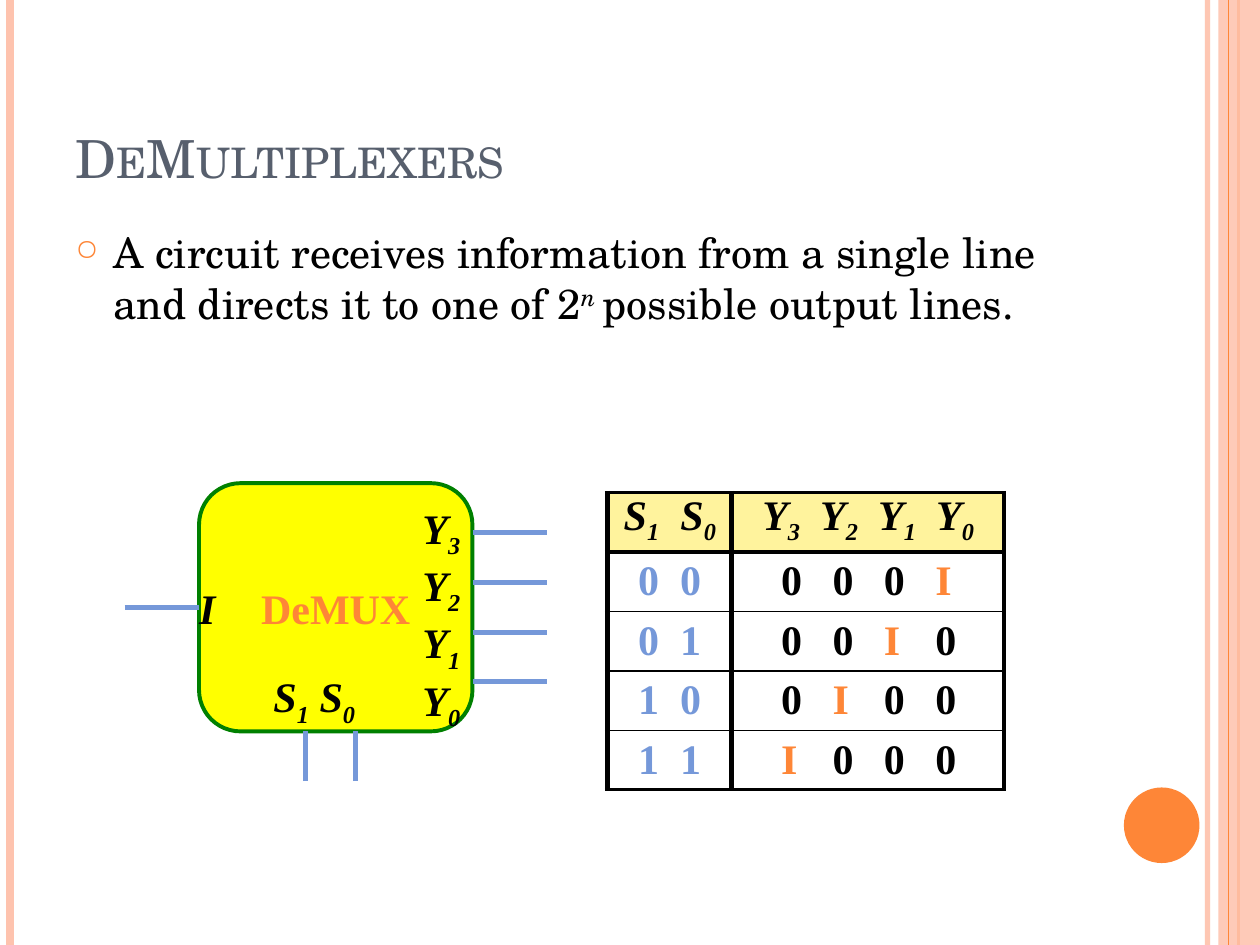
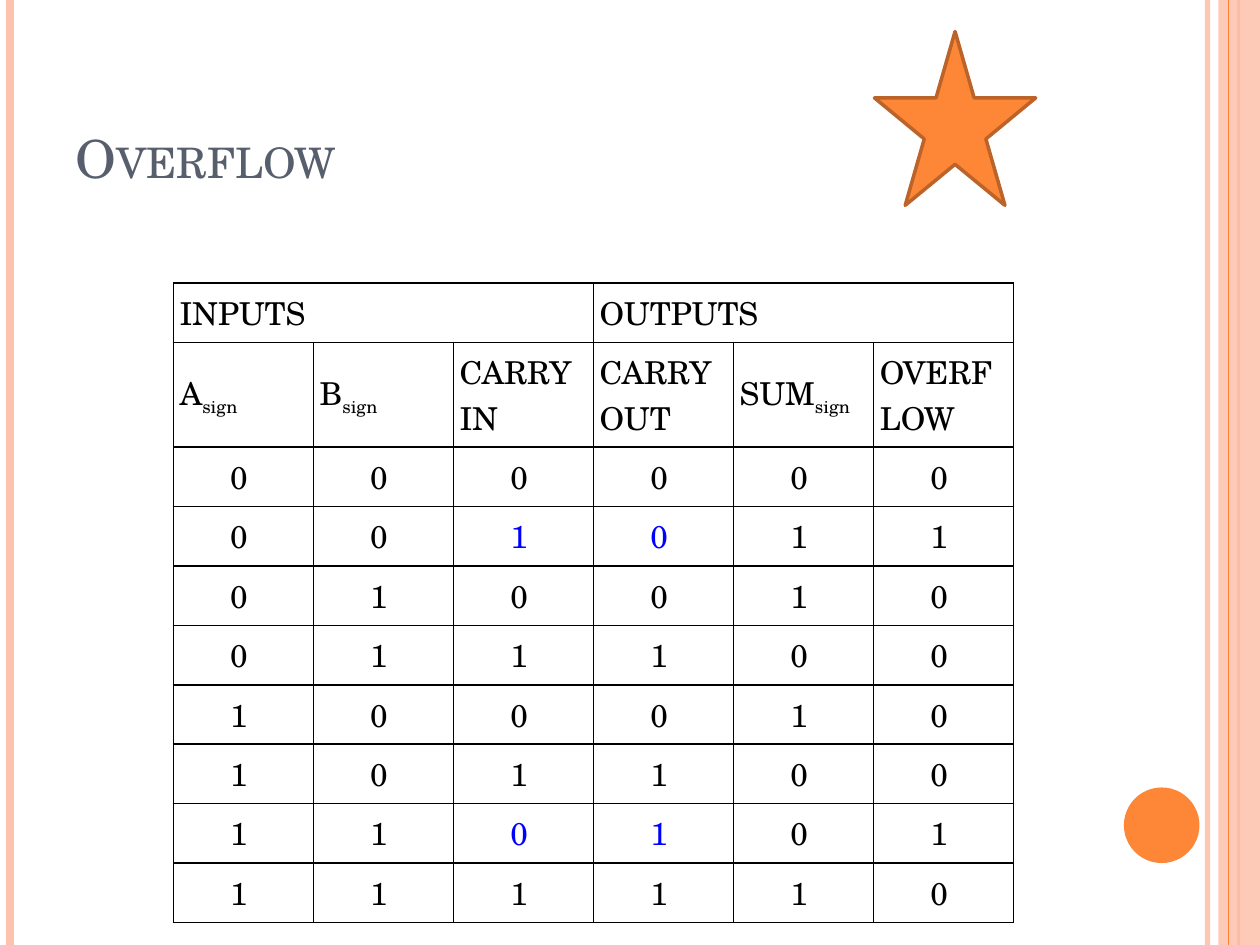
from collections import namedtuple
from itertools import product

from lxml.etree import SubElement
from pptx import Presentation
from pptx.dml.color import RGBColor
from pptx.enum.shapes import MSO_CONNECTOR as Line, MSO_SHAPE as Shape
from pptx.enum.text import MSO_ANCHOR as Anchor, PP_ALIGN as Align
from pptx.oxml import parse_xml
from pptx.oxml.ns import nsdecls, qn
from pptx.util import Inches, Pt

COLOURS = {
    "accent": "FE8637", "band": "FEC3AE", "title": "575F6D", "text": "000000",
    "wire": "7598D9", "header": "FFF39D", "mux": "FFFF00", "mux edge": "008000",
    "star edge": "BC6329", "carry": "0000FF",
}
SCHOLA, TIMES = "TeX Gyre Schola", "Times New Roman"

WIDTH, HEIGHT = Inches(10), Inches(7.5)
COLUMNS, ROWS = 100, 75
Box = namedtuple("Box", "left top width height")  # in columns and rows

TITLE_BOX = Box(5, 3, 84.2, 12.5)
BODY_BOX = Box(5, 17.5, 84.2, 53.3)
MUX_BOX = Box(15.8, 38.35, 21.7, 19.7)
TRUTH_BOX = Box(48.2, 39.1, 31.5, 23.6)
OVERFLOW_BOX = Box(13.75, 22.45, 66.7, 50.8)
STAR_BOX = Box(69.4, 2.5, 12.8, 13.8)


def across(columns):
    return round(columns * WIDTH / COLUMNS)


def down(rows):
    return round(rows * HEIGHT / ROWS)


def measure(box):
    return across(box.left), down(box.top), across(box.width), down(box.height)


def rgb(name):
    return RGBColor.from_string(COLOURS[name])


def set_alpha(color_parent, percent):
    """Make the solid fill found below an element partly transparent."""
    color = next(color_parent.iter(qn("a:srgbClr")))
    SubElement(color, qn("a:alpha")).set("val", str(percent * 1000))


def write(target, lines, font=SCHOLA, size=24, color="text", bold=False, italic=False,
          align=Align.LEFT, anchor=Anchor.TOP, margins=None, wrap=None, caps=None,
          tab_step=None, bullet=None):
    """Fill a text frame or table cell; a line is a list of strings or (string, format)."""
    frame = getattr(target, "text_frame", target)
    target.vertical_anchor = anchor
    if margins:
        (target.margin_left, target.margin_top,
         target.margin_right, target.margin_bottom) = map(across, margins)
    if wrap is not None:
        frame.word_wrap = wrap
    for index, line in enumerate(lines):
        para = frame.add_paragraph() if index else frame.paragraphs[0]
        para.alignment = align
        if bullet:
            add_bullet(para, bullet)
        if tab_step:
            add_tabs(para, tab_step, 3)
        for piece in line:
            words, style = (piece, {}) if isinstance(piece, str) else piece
            span = para.add_run()
            span.text = words
            span.font.name = font
            span.font.size = Pt(size)
            span.font.bold = bold
            span.font.italic = style.get("italic", italic)
            span.font.color.rgb = rgb(style.get("color", color))
            props = span._r.get_or_add_rPr()
            if "base" in style:
                props.set("baseline", str(style["base"] * 1000))
            if caps:
                props.set("cap", caps)


def add_bullet(para, sign):
    props = para._p.get_or_add_pPr()
    props.set("marL", str(across(3)))
    props.set("indent", str(-across(3)))
    color = SubElement(props, qn("a:buClr"))
    SubElement(color, qn("a:srgbClr")).set("val", COLOURS["accent"])
    SubElement(props, qn("a:buSzPct")).set("val", "70000")
    SubElement(props, qn("a:buChar")).set("char", sign)


def add_tabs(para, step, count):
    stops = SubElement(para._p.get_or_add_pPr(), qn("a:tabLst"))
    for number in range(1, count + 1):
        stop = SubElement(stops, qn("a:tab"))
        stop.set("pos", str(across(step * number)))
        stop.set("algn", "l")


def sub(letter, index):
    """Runs for a letter with a subscript."""
    return [letter, (index, {"base": -25})]


def add_text(page, box, lines, **style):
    write(page.shapes.add_textbox(*measure(box)).text_frame, lines, **style)


def add_block(page, kind, box, fill, edge=None, weight=1):
    shape = page.shapes.add_shape(kind, *measure(box))
    shape.shadow.inherit = False
    shape.fill.solid()
    shape.fill.fore_color.rgb = rgb(fill)
    if edge:
        shape.line.color.rgb = rgb(edge)
        shape.line.width = Pt(weight)
    else:
        shape.line.fill.background()
    return shape


def add_line(page, start, end, color, weight):
    line = page.shapes.add_connector(Line.STRAIGHT, across(start[0]), down(start[1]),
                                     across(end[0]), down(end[1]))
    line.line.color.rgb = rgb(color)
    line.line.width = Pt(weight)
    SubElement(line._element.spPr, qn("a:effectLst"))
    return line


def add_grid(page, box, widths, heights, column_edges, row_edges):
    """Add a plain table whose rules have the given weights, outer edges included."""
    table = page.shapes.add_table(len(heights), len(widths), *measure(box)).table
    table.first_row = table.horz_banding = False
    for column, width in zip(table.columns, widths):
        column.width = across(width)
    for row, height in zip(table.rows, heights):
        row.height = down(height)
    for r, c in product(range(len(heights)), range(len(widths))):
        cell = table.cell(r, c)
        cell.fill.background()
        weights = {"L": column_edges[c], "R": column_edges[c + 1],
                   "T": row_edges[r], "B": row_edges[r + 1]}
        for place, (side, weight) in enumerate(weights.items()):
            cell._tc.get_or_add_tcPr().insert(place, parse_xml(
                f'<a:ln{side} {nsdecls("a")} w="{Pt(weight)}"><a:solidFill>'
                f'<a:srgbClr val="{COLOURS["text"]}"/></a:solidFill></a:ln{side}>'))
    return table


def start_page(deck, title):
    """Add a page with the side bands, the disc and the title."""
    page = deck.slides.add_slide(deck.slide_layouts[6])

    def stripe(x, color, weight):
        return add_line(page, (x, 0), (x, ROWS), color, weight)

    set_alpha(stripe(95.83, "band", 3)._element.spPr, 93)
    stripe(0.83, "band", 4.5)
    stripe(98.3, "accent", 1.5)
    band = add_block(page, Shape.RECTANGLE, Box(96.7, 0, 3.3, ROWS), "band")
    set_alpha(band._element.spPr, 87)
    stripe(97.5, "accent", 0.75)
    add_block(page, Shape.OVAL, Box(89.2, 62.5, 6, 6), "accent")
    add_text(page, TITLE_BOX, [[title]], size=30, color="title", caps="small",
             anchor=Anchor.BOTTOM, wrap=True)
    return page


def draw_demux(page, box):
    """Draw the demultiplexer with its wires; one unit is a fifth of its height."""
    unit = box.height / 5
    right, bottom = box.left + box.width, box.top + box.height
    label = {"font": TIMES, "bold": True, "margins": (0, 0, 0, 0)}

    def part(x, y, width, height):
        return Box(box.left + x * unit, box.top + y * unit, width * unit, height * unit)

    body = add_block(page, Shape.ROUNDED_RECTANGLE, box, "mux", "mux edge", 2.25)
    write(body.text_frame, [["DeMUX"]], color="accent", align=Align.CENTER,
          anchor=Anchor.MIDDLE, wrap=False, **label)

    for x in (box.left + 2.15 * unit, box.left + 3.15 * unit):
        add_line(page, (x, bottom + unit), (x, bottom), "wire", 3)
    for number in range(1, 5):
        y = box.top + number * unit
        add_line(page, (right, y), (right + 1.5 * unit, y), "wire", 3)
    middle = box.top + box.height / 2
    data_wire = add_line(page, (box.left - 1.5 * unit, middle), (box.left, middle), "wire", 3)
    data_wire.end_connect(body, 1)

    label.update(italic=True, wrap=True)
    add_text(page, part(0, 2, 1, 1), [["I"]], **label)
    add_text(page, part(4.5, 0.38, 1, 4), [sub("Y", n) for n in "3210"], **label)
    add_text(page, part(1.5, 3.78, 2.5, 1), [sub("S", "1") + sub(" S", "0")], **label)


def draw_truth_table(page, box):
    """Tabulate the outputs for each pair of select bits."""
    select_width = 9.85
    table = add_grid(page, box, [select_width, box.width - select_width],
                     [box.height / 5] * 5, [3, 3, 2.25], [2.25, 3, 1, 1, 1, 2.25])

    def fill_cell(row, column, pieces, start, step, **style):
        write(table.cell(row, column), [pieces], font=TIMES, bold=True,
              margins=(start, 0, 0, 0), tab_step=step, **style)

    heads = [sub("S", "1") + sub("\tS", "0"),
             sub("Y", "3") + sub("\tY", "2") + sub("\tY", "1") + sub("\tY", "0")]
    for column, (head, start, step) in enumerate(zip(heads, (1.3, 2.45), (4.5, 4.6))):
        fill_cell(0, column, head, start, step, italic=True)
        fill = table.cell(0, column).fill
        fill.solid()
        fill.fore_color.rgb = rgb("header")
    for number in range(4):
        fill_cell(number + 1, 0, [f"{number // 2}\t{number % 2}"], 2.45, 3.33,
                  color="wire", anchor=Anchor.MIDDLE)
        outputs = []
        for output in (3, 2, 1, 0):
            gap = "" if output == 3 else "\t"
            outputs.append((gap + "I", {"color": "accent"}) if output == number else gap + "0")
        fill_cell(number + 1, 1, outputs, 3.95, 4.08, anchor=Anchor.MIDDLE)


def draw_overflow_table(page, box):
    """Tabulate sign addition; the carries that differ are coloured."""
    table = add_grid(page, box, [box.width / 6] * 6, [4.72, 8.32] + [4.72] * 8,
                     [1] * 7, [1] * 11)
    style = {"size": 18, "anchor": Anchor.MIDDLE, "margins": (0.5,) * 4}
    for column, group in ((0, "INPUTS"), (3, "OUTPUTS")):
        table.cell(0, column).merge(table.cell(0, column + 2))
        write(table.cell(0, column), [[group]], **style)
    heads = [sub("A", "sign"), sub("B", "sign"), ["CARRY IN"],
             ["CARRY OUT"], sub("SUM", "sign"), ["OVERFLOW"]]
    for column, head in enumerate(heads):
        write(table.cell(1, column), [head], **style)
    for row, (a, b, carry_in) in enumerate(product((0, 1), repeat=3), start=2):
        carry_out, total = divmod(a + b + carry_in, 2)
        overflow = int(carry_in != carry_out)
        for column, bit in enumerate((a, b, carry_in, carry_out, total, overflow)):
            color = "carry" if overflow and column in (2, 3) else "text"
            write(table.cell(row, column), [[f"{bit} "]], color=color,
                  align=Align.CENTER, **style)


def demultiplexer_page(deck):
    page = start_page(deck, "DeMultiplexers")
    add_text(page, BODY_BOX, [[
        "A circuit receives information from a single line and directs it to one of 2",
        ("n ", {"italic": True, "base": 30}), "possible output lines."]],
        bullet="○", wrap=True)
    draw_demux(page, MUX_BOX)
    draw_truth_table(page, TRUTH_BOX)


def overflow_page(deck):
    page = start_page(deck, "Overflow")
    draw_overflow_table(page, OVERFLOW_BOX)
    add_block(page, Shape.STAR_5_POINT, STAR_BOX, "accent", "star edge", 2)


def main():
    deck = Presentation()
    deck.slide_width, deck.slide_height = WIDTH, HEIGHT
    demultiplexer_page(deck)
    overflow_page(deck)
    deck.save("out.pptx")


if __name__ == "__main__":
    main()
